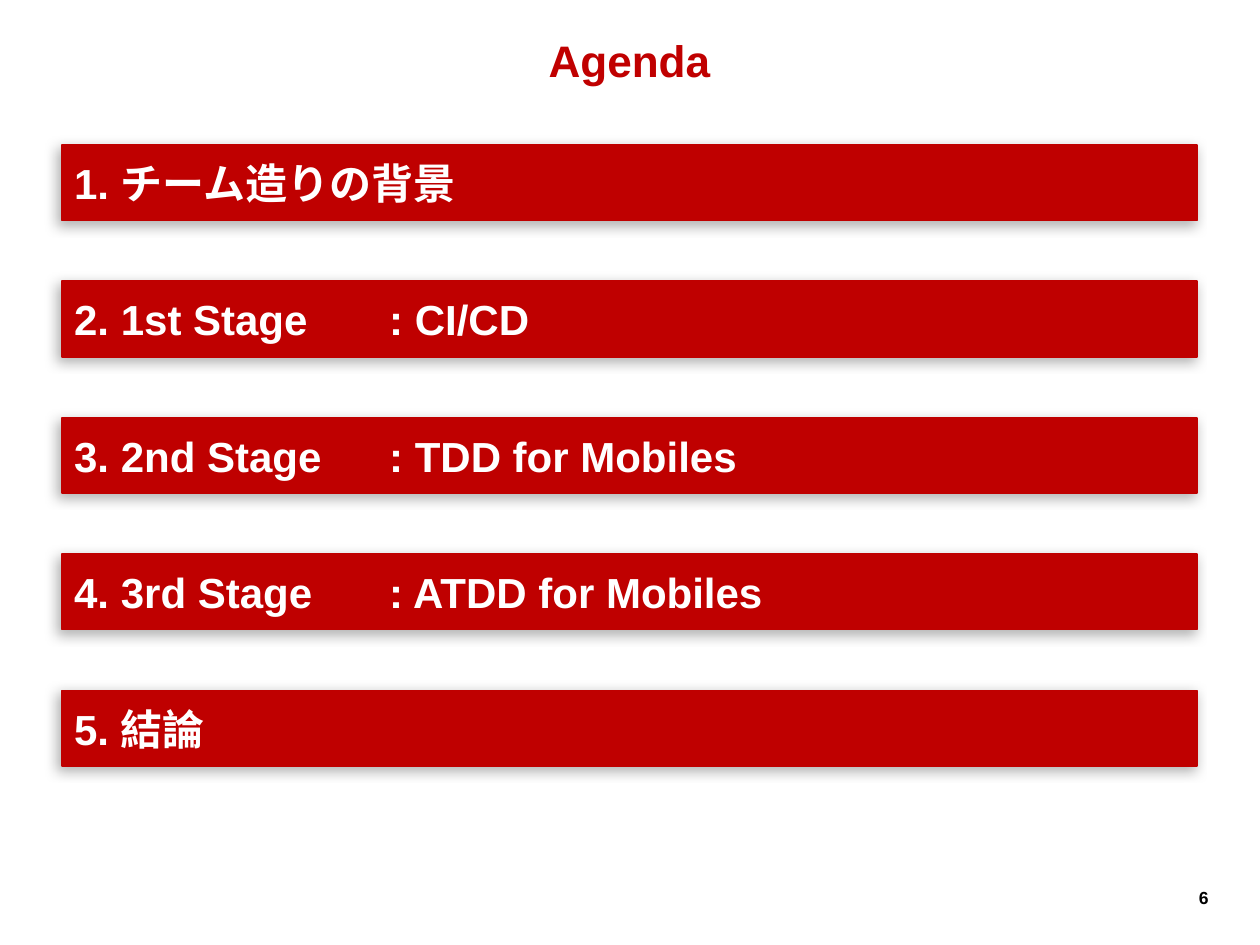
from dataclasses import dataclass

from lxml import etree
from pptx import Presentation
from pptx import util as u
from pptx.dml.color import RGBColor
from pptx.enum import shapes, text
from pptx.oxml import ns


@dataclass(frozen=True)
class Theme:
    font: str = "Arial"
    title: RGBColor = RGBColor(0xC0, 0x00, 0x00)
    bar: RGBColor = RGBColor(0xBF, 0x00, 0x00)
    bar_text: RGBColor = RGBColor(0xFF, 0xFF, 0xFF)
    page: RGBColor = RGBColor(0x00, 0x00, 0x00)
    title_size: float = 25.2
    bar_size: float = 24
    page_size: float = 10


THEME = Theme()
AGENDA = [
    "1. チーム造りの背景",
    "2. 1st Stage\t: CI/CD",
    "3. 2nd Stage\t: TDD for Mobiles",
    "4. 3rd Stage\t: ATDD for Mobiles",
    "5. 結論",
]


def write(shape, words, size, color, align, wrap=True):
    frame = shape.text_frame
    frame.text = words
    frame.word_wrap = wrap
    frame.vertical_anchor = text.MSO_ANCHOR.MIDDLE
    paragraph = frame.paragraphs[0]
    paragraph.alignment = align
    for run in paragraph.runs:
        run.font.name = THEME.font
        run.font.size = u.Pt(size)
        run.font.bold = True
        run.font.color.rgb = color
    return paragraph


def add_shadow(shape):
    """Soft black shadow falling to the lower left."""
    shape.shadow.inherit = False
    effects = shape._element.spPr.find(ns.qn("a:effectLst"))
    shadow = etree.SubElement(
        effects, ns.qn("a:outerShdw"), blurRad=str(u.Pt(7)), dist=str(u.Pt(3)),
        dir=str(135 * 60000), algn="tl", rotWithShape="0")
    black = etree.SubElement(shadow, ns.qn("a:srgbClr"), val="000000")
    etree.SubElement(black, ns.qn("a:alpha"), val="30000")


def add_tab_stop(paragraph, position):
    stops = etree.SubElement(paragraph._p.get_or_add_pPr(), ns.qn("a:tabLst"))
    etree.SubElement(stops, ns.qn("a:tab"), pos=str(position), algn="l")


def add_title(slide, box, words):
    title = slide.shapes.add_textbox(*box)
    write(title, words, THEME.title_size, THEME.title, text.PP_ALIGN.CENTER)


def add_agenda(slide, box, topics):
    """Spread one bar per topic evenly from the top to the bottom of the box."""
    left, top, width, height = box
    bar_height = u.Inches(0.6)
    pitch = (height - bar_height) / (len(topics) - 1)
    for index, topic in enumerate(topics):
        bar = slide.shapes.add_shape(
            shapes.MSO_SHAPE.RECTANGLE, left, round(top + index * pitch), width, bar_height)
        bar.fill.solid()
        bar.fill.fore_color.rgb = THEME.bar
        bar.line.color.rgb = THEME.bar
        bar.line.width = u.Pt(1)
        add_shadow(bar)
        paragraph = write(bar, topic, THEME.bar_size, THEME.bar_text, text.PP_ALIGN.LEFT)
        if "\t" in topic:
            add_tab_stop(paragraph, u.Inches(2.5))


def add_page_number(slide, box, number):
    page = slide.shapes.add_textbox(*box)
    write(page, str(number), THEME.page_size, THEME.page, text.PP_ALIGN.RIGHT, wrap=False)


def inches(*lengths):
    return [u.Inches(length) for length in lengths]


def main():
    deck = Presentation()
    deck.slide_width, deck.slide_height = inches(10, 7.5)
    slide = deck.slides.add_slide(deck.slide_layouts[6])
    add_page_number(slide, inches(9.41, 6.99, 0.28, 0.27), 6)
    add_title(slide, inches(0.39, 0.28, 9.21, 0.39), "Agenda")
    add_agenda(slide, inches(0.49, 1.15, 9.01, 4.93), AGENDA)
    deck.save("out.pptx")


if __name__ == "__main__":
    main()
